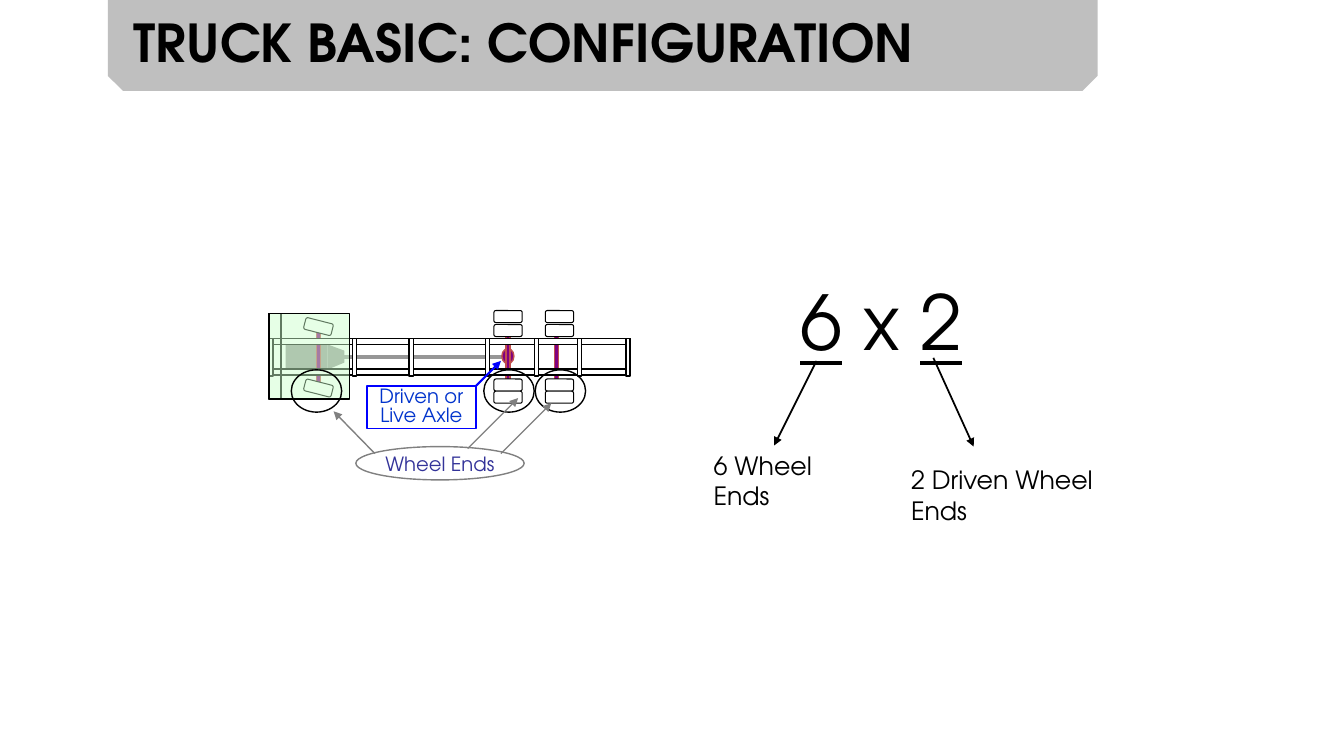
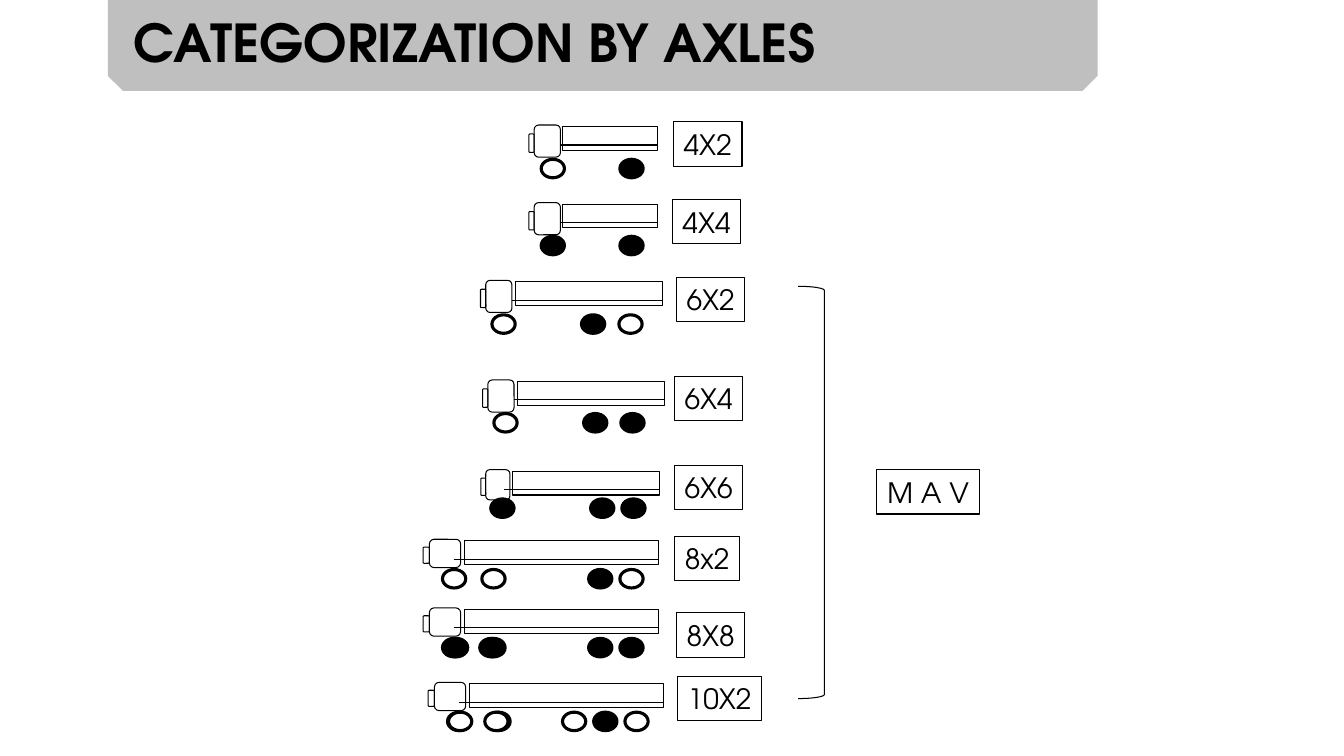
from lxml import etree
from pptx import Presentation
from pptx.dml.color import RGBColor
from pptx.enum.shapes import MSO_CONNECTOR, MSO_SHAPE
from pptx.enum.text import MSO_ANCHOR, PP_ALIGN
from pptx.oxml.ns import qn
from pptx.util import Pt

RECT = MSO_SHAPE.RECTANGLE
ROUND_RECT = MSO_SHAPE.ROUNDED_RECTANGLE
ELLIPSE = MSO_SHAPE.OVAL
BRACKET = MSO_SHAPE.RIGHT_BRACKET
BAND = MSO_SHAPE.SNIP_2_SAME_RECTANGLE
STRAIGHT = MSO_CONNECTOR.STRAIGHT
CENTER = PP_ALIGN.CENTER
MIDDLE = MSO_ANCHOR.MIDDLE

FONT = "TeX Gyre Adventor"
BLACK = RGBColor(0x00, 0x00, 0x00)
WHITE = RGBColor(0xFF, 0xFF, 0xFF)
BAND_GRAY = RGBColor(0xBF, 0xBF, 0xBF)
SHAFT_GRAY = RGBColor(0x96, 0x96, 0x96)
CALLOUT_GRAY = RGBColor(0x80, 0x80, 0x80)
AXLE_PURPLE = RGBColor(0x80, 0x00, 0x80)
AXLE_RED = RGBColor(0xC0, 0x50, 0x4D)
CAB_GREEN = RGBColor(0xCC, 0xFF, 0xCC)
BLUE = RGBColor(0x00, 0x00, 0xFF)
TEXT_BLUE = RGBColor(0x00, 0x33, 0xCC)
TEXT_INDIGO = RGBColor(0x33, 0x33, 0x99)


def add_part(page, kind, place, fill=None, line=None, weight=0.75,
             text="", size=20, color=BLACK, bold=False):
    """Add a preset shape with centred text, or a wrapping text box if kind is None."""
    left, top, width, height = map(Pt, place)
    if kind is None:
        box = page.shapes.add_textbox(left, top, width, height)
        box.text_frame.word_wrap = True
    else:
        box = page.shapes.add_shape(kind, left, top, width, height)
        box.shadow.inherit = False
        if fill is None:
            box.fill.background()
        else:
            box.fill.solid()
            box.fill.fore_color.rgb = fill
        if line is None:
            box.line.fill.background()
        else:
            box.line.color.rgb = line
            box.line.width = Pt(weight)
    if text:
        box.text_frame.text = text
        if kind is not None:
            box.text_frame.word_wrap = False
            box.text_frame.vertical_anchor = MIDDLE
        for paragraph in box.text_frame.paragraphs:
            if kind is not None:
                paragraph.alignment = CENTER
            for span in paragraph.runs:
                span.font.name = FONT
                span.font.size = Pt(size)
                span.font.bold = bold
                span.font.color.rgb = color
    return box


def add_line(page, ends, color=BLACK, weight=0.75, arrow=False):
    connector = page.shapes.add_connector(STRAIGHT, *map(Pt, ends))
    connector.line.color.rgb = color
    connector.line.width = Pt(weight)
    if arrow:
        outline = connector.line._get_or_add_ln()
        etree.SubElement(outline, qn("a:tailEnd"), type="triangle")
    etree.SubElement(connector._element.spPr, qn("a:effectLst"))


deck = Presentation()
deck.slide_width = Pt(960)
deck.slide_height = Pt(540)

pages = []
for title in ("TRUCK BASIC: CONFIGURATION", "CATEGORIZATION BY AXLES"):
    page = deck.slides.add_slide(deck.slide_layouts[6])
    band = add_part(page, BAND, (77, 0, 707, 65), BAND_GRAY)
    band.rotation = 180
    add_part(page, None, (88.6, 3.6, 823.7, 52.6), text=title, size=37.3, bold=True)
    pages.append(page)
configuration, categories = pages

# Wheel formula
formula = add_part(configuration, None, (564.5, 193, 138.2, 72.7))
paragraph = formula.text_frame.paragraphs[0]
for text, underlined in (("6", True), (" x ", False), ("2", True)):
    span = paragraph.add_run()
    span.text = text
    span.font.name = FONT
    span.font.size = Pt(54)
    span.font.color.rgb = BLACK
    span.font.underline = underlined
add_part(configuration, None, (502.6, 318.2, 113.8, 51.1), text="6 Wheel Ends", size=18)
add_part(configuration, None, (643.7, 328.3, 174.2, 51.1), text="2 Driven Wheel Ends", size=18)
for ends in ((583.2, 257.8, 553, 318.2), (666.7, 255.6, 695.5, 319)):
    add_line(configuration, ends, weight=1.25, arrow=True)

# Drive line and axles
add_line(configuration, (240, 255, 360, 255), SHAFT_GRAY, 2.25)
add_part(configuration, RECT, (204, 246, 30, 18), SHAFT_GRAY)
outline = configuration.shapes.build_freeform(Pt(234), Pt(264))
outline.add_line_segments([(Pt(x), Pt(y)) for x, y in ((246, 259), (246, 250.5), (234, 246))])
gearbox = outline.convert_to_shape()
gearbox.shadow.inherit = False
gearbox.fill.solid()
gearbox.fill.fore_color.rgb = SHAFT_GRAY
gearbox.line.fill.background()
add_part(configuration, ELLIPSE, (358.5, 249, 8.6, 10.8), AXLE_PURPLE, AXLE_RED, 1)
for left in (361.4, 226, 396):
    add_part(configuration, RECT, (left, 233.3, 2.9, 43.9), AXLE_PURPLE, AXLE_RED, 1)

# Chassis frame, tyres and cab
for top in (241.9, 263.5):
    add_part(configuration, RECT, (192.2, top, 257.8, 4.3), WHITE, BLACK, 1)
for left in (192.2, 252, 292.3, 347, 381.6, 412.6, 447.1):
    add_part(configuration, RECT, (left, 241.9, 2.9, 26.6), WHITE, BLACK, 1)
add_part(configuration, RECT, (192.2, 223.9, 8.6, 61.2), None, BLACK, 1)
for top in (229, 272.9):
    tyre = add_part(configuration, ROUND_RECT, (217.4, top, 20.2, 8.6), WHITE, BLACK)
    tyre.rotation = 14.3
for left in (352.8, 389.5):
    for top in (221.8, 231.8, 270.7, 279.4):
        add_part(configuration, ROUND_RECT, (left, top, 20.2, 8.6), WHITE, BLACK)
cab = add_part(configuration, RECT, (192.2, 223.9, 57.6, 61.2), CAB_GREEN, BLACK, 1)
cab_color = cab._element.spPr.find(qn("a:solidFill"))[0]
etree.SubElement(cab_color, qn("a:alpha"), val="48000")

# Callouts
for left in (208.1, 345.6, 382.3):
    add_part(configuration, ELLIPSE, (left, 264.2, 36, 30.2), None, BLACK, 1)
add_part(configuration, ELLIPSE, (254.2, 319, 120.2, 23.8), None, CALLOUT_GRAY, 1,
         "Wheel Ends", 14, TEXT_INDIGO)
driven = add_part(configuration, RECT, (262.1, 275.8, 77.8, 30.2), WHITE, BLUE, 1,
                  "Driven or\nLive Axle", 14, TEXT_BLUE)
for paragraph in driven.text_frame.paragraphs:
    paragraph.line_spacing = 0.8
for ends in ((267.8, 324, 238.3, 293.8), (357.8, 324, 393.8, 288),
             (334.1, 320.4, 370.1, 284.4)):
    add_line(configuration, ends, CALLOUT_GRAY, 1, True)
add_line(configuration, (339.8, 275.8, 357.8, 257.8), BLUE, 1.5, True)

# Name, label place, cab place, bed left and right, floor start,
# wheel top, free wheels, driven wheels
TRUCKS = (
    ("4X2", (481, 87.1, 49, 31.7), (381.6, 89.3, 18.7, 23), 401.8, 469.4, 400.3,
     113.8, (386.6,), (442.8,)),
    ("4X4", (480.2, 142.6, 49, 31.7), (381.6, 144.7, 18.7, 23), 401.8, 469.4, 400.3,
     168.8, (), (386.6, 442.8)),
    ("6X2", (483.1, 198, 49, 31.7), (347, 200.2, 18.7, 23), 367.9, 473, 365.8,
     224.9, (351.4, 442.1), (415.4,)),
    ("6X4", (481.7, 268.6, 49, 31.7), (348.5, 271.4, 18.7, 23), 369.4, 474.5, 367.2,
     295.4, (352.8,), (416.9, 443.5)),
    ("6X6", (481.7, 332.6, 49, 31.7), (347, 335.5, 17.3, 21.6), 365.8, 470.9, 360,
     356.4, (), (350.6, 421.9, 444.2)),
    ("8x2", (481.7, 383, 46.8, 31.7), (306.7, 385.2, 22.3, 20.2), 331.9, 470.2, 324,
     406.8, (316.1, 344.2, 442.8), (420.5,)),
    ("8X8", (483.1, 437.8, 49, 31.7), (306.7, 434.2, 22.3, 20.2), 331.9, 470.2, 324,
     456, (), (316.1, 317.5, 342.7, 344.2, 420.5, 442.8)),
    ("10X2", (483.8, 483.1, 60.5, 31.7), (310.3, 487.4, 22.3, 20.2), 335.5, 473.8, 327.6,
     508.7, (319.7, 320.4, 347.8, 346.3, 401.8, 446.4), (424.1,)),
)
for name, label, cab, bed_left, bed_right, floor_left, wheel_top, free, powered in TRUCKS:
    cab_left, cab_top, cab_width, cab_height = cab
    bed_top = cab_top + 1.1
    floor = bed_top + 13.2
    nose_width = cab_width * 0.2
    nose = (cab_left - nose_width, cab_top + cab_height * 0.28, nose_width, cab_height * 0.57)
    add_part(categories, RECT, (bed_left, bed_top, bed_right - bed_left, 17), None, BLACK)
    add_line(categories, (floor_left, floor, bed_right, floor))
    for place in (cab, nose):
        add_part(categories, ROUND_RECT, place, None, BLACK)
    for wheels, fill in ((free, WHITE), (powered, BLACK)):
        for left in wheels:
            add_part(categories, ELLIPSE, (left, wheel_top, 16.6, 13.2), fill, BLACK, 2.25)
    add_part(categories, RECT, label, WHITE, BLACK, text=name)

bracket = add_part(categories, BRACKET, (570.2, 204.5, 18.7, 294.5), None, BLACK)
bracket.adjustments[0] = 0.154
add_part(categories, RECT, (626.4, 335.5, 73.4, 31.7), None, BLACK, text="M A V")

deck.save("out.pptx")
